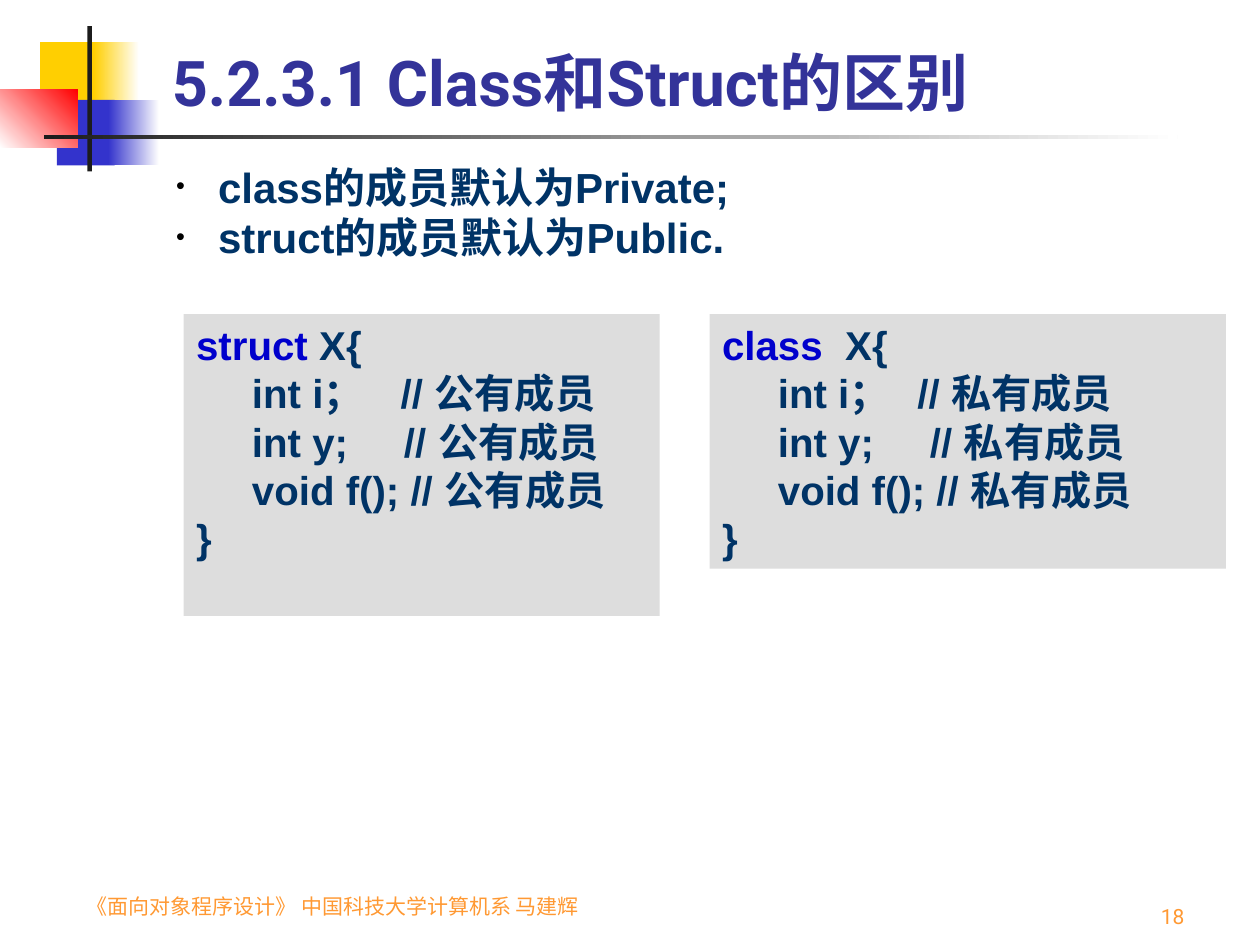
from lxml.etree import SubElement
from pptx import Presentation
from pptx.dml.color import RGBColor
from pptx.enum.shapes import MSO_SHAPE as Shape
from pptx.enum.text import MSO_ANCHOR as Anchor, MSO_AUTO_SIZE as AutoSize, PP_ALIGN as Align
from pptx.oxml.ns import qn
from pptx.util import Pt

COLORS = {
    "yellow": "FFCF01", "blue": "3333CC", "red": "FF0000", "white": "FFFFFF",
    "black": "000000", "rule": "1C1C1C", "title": "333399", "footer": "FF9933",
    "panel": "DDDDDD", "keyword": "0000CC", "body": "003366",
}


def color(name):
    return RGBColor.from_string(COLORS[name])


def place(shape, area):
    shape.left, shape.top, shape.width, shape.height = map(Pt, area)


def style(font, name, size, ink, bold=False):
    font.name, font.size, font.bold = name, Pt(size), bold
    font.color.rgb = color(ink)


def add_block(page, area, start, end=None, angle=0):
    """Add a borderless rectangle, graded from start to end if end is given."""
    block = page.shapes.add_shape(Shape.RECTANGLE, *map(Pt, area))
    block.shadow.inherit = False
    block.line.fill.background()
    if end is None:
        block.fill.solid()
        block.fill.fore_color.rgb = color(start)
    else:
        block.fill.gradient()
        block.fill.gradient_angle = angle
        for stop, position, ink in zip(block.fill.gradient_stops, (0, 1), (start, end)):
            stop.position = position
            stop.color.rgb = color(ink)
    return block


def add_decoration(page):
    add_block(page, (23, 24, 34.5, 37.5), "yellow")
    add_block(page, (53.5, 24, 26, 37.5), "yellow", "white")
    add_block(page, (32.5, 57, 33, 37.5), "blue")
    add_block(page, (62, 57, 29, 37.5), "blue", "white")
    add_block(page, (0, 51, 44.5, 33.5), "white", "red", 45)
    add_block(page, (50, 15, 2.5, 83), "rule")
    add_block(page, (25, 77, 648, 2.2), "rule", "white")


def add_title(page, text):
    title = page.shapes.title
    place(title, (91, 16.5, 587, 55))
    frame = title.text_frame
    frame.text = text
    frame.auto_size = AutoSize.NONE
    frame.vertical_anchor = Anchor.BOTTOM
    paragraph = frame.paragraphs[0]
    paragraph.alignment = Align.LEFT
    style(paragraph.runs[0].font, "Roboto", 36, "title", True)


def add_footer(page, area, text, alignment):
    box = page.shapes.add_textbox(*map(Pt, area))
    frame = box.text_frame
    frame.word_wrap = True
    frame.vertical_anchor = Anchor.BOTTOM
    frame.text = text
    paragraph = frame.paragraphs[0]
    paragraph.alignment = alignment
    style(paragraph.runs[0].font, "Roboto", 12, "footer")


def add_bullet(paragraph, hang):
    props = paragraph._p.get_or_add_pPr()
    props.set("marL", str(Pt(hang)))
    props.set("indent", str(-Pt(hang)))
    ink = SubElement(props, qn("a:buClr"))
    SubElement(ink, qn("a:srgbClr"), val=COLORS["black"])
    SubElement(props, qn("a:buSzPct"), val="60000")
    SubElement(props, qn("a:buFont"), typeface="Arial")
    SubElement(props, qn("a:buChar"), char="•")


def add_bullets(page, area, lines):
    box = page.shapes.add_textbox(*map(Pt, area))
    frame = box.text_frame
    frame.word_wrap = True
    frame.text = "\n".join(lines)
    for paragraph in frame.paragraphs:
        add_bullet(paragraph, 24)
        style(paragraph.runs[0].font, "Arial", 24, "body", True)


def add_code(page, area, keyword, lines):
    """Add a code panel whose first line opens with a coloured keyword."""
    panel = add_block(page, area, "panel")
    frame = panel.text_frame
    frame.word_wrap = True
    frame.vertical_anchor = Anchor.TOP
    frame.paragraphs[0].add_run().text = keyword
    for index, line in enumerate(lines):
        paragraph = frame.add_paragraph() if index else frame.paragraphs[0]
        paragraph.alignment = Align.LEFT
        paragraph.add_run().text = line
        for span in paragraph.runs:
            style(span.font, "Arial", 23, "body", True)
    frame.paragraphs[0].runs[0].font.color.rgb = color("keyword")


def main():
    deck = Presentation()
    deck.slide_width, deck.slide_height = Pt(720), Pt(540)
    page = deck.slides.add_slide(deck.slide_layouts[5])

    add_decoration(page)
    add_footer(page, (42.5, 497, 323, 31.5),
               "《面向对象程序设计》 中国科技大学计算机系 马建辉", Align.LEFT)
    add_footer(page, (534, 498, 150, 36), "18", Align.RIGHT)
    add_title(page, "5.2.3.1 Class和Struct的区别")
    add_bullets(page, (93.5, 88.5, 359, 65),
                ["class的成员默认为Private;", "struct的成员默认为Public."])
    add_code(page, (105, 179.5, 272, 172.5), "struct", [
        " X{",
        "     int i；    // 公有成员",
        "     int y;     // 公有成员",
        "     void f(); // 公有成员",
        "}",
    ])
    add_code(page, (405.5, 179.5, 295, 145.5), "class", [
        "  X{",
        "     int i；   // 私有成员",
        "     int y;     // 私有成员",
        "     void f(); // 私有成员",
        "}",
    ])
    deck.save("out.pptx")


if __name__ == "__main__":
    main()
